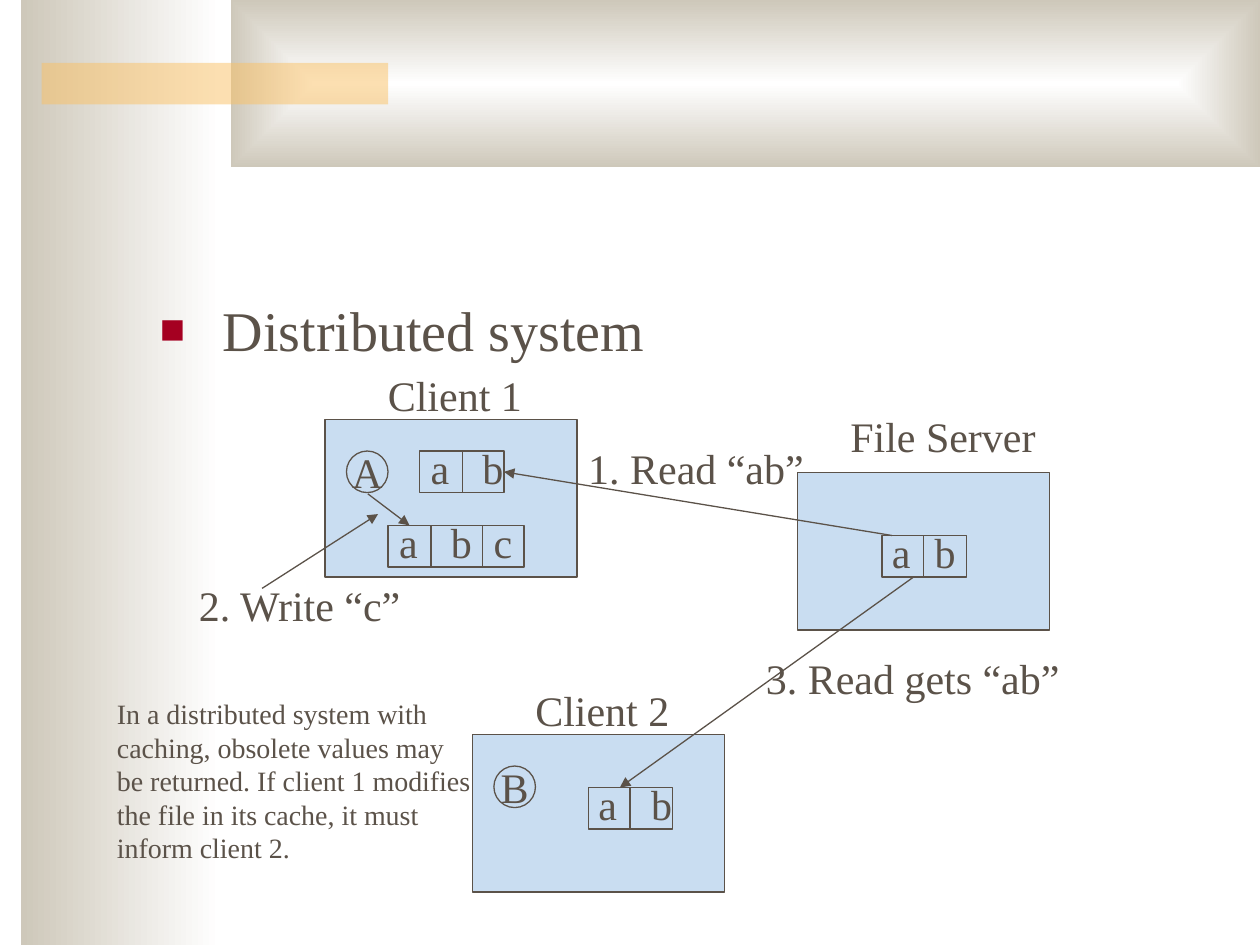
from lxml import etree
from pptx import Presentation
from pptx.dml.color import RGBColor
from pptx.enum.shapes import MSO_CONNECTOR, MSO_SHAPE
from pptx.enum.text import MSO_ANCHOR as ANCHOR, MSO_AUTO_SIZE as AUTO, PP_ALIGN as ALIGN
from pptx.oxml.ns import qn
from pptx.util import Inches, Pt

COLORS = {"ink": "5B5249", "box": "C9DDF1", "sand": "CEC8BA", "white": "FFFFFF",
          "accent": "FAC164", "bullet": "A50021"}
FONT = "Times New Roman"
CELL_H = 0.33


def rgb(name):
    return RGBColor.from_string(COLORS[name])


def sub(parent, tag, **attrs):
    return etree.SubElement(parent, qn(tag), attrs)


def format_font(paragraph, size):
    style = {"name": FONT, "size": Pt(size)}
    for key, value in style.items():
        setattr(paragraph.font, key, value)
    paragraph.font.color.rgb = rgb("ink")


def add_panel(slide, box, kind=MSO_SHAPE.RECTANGLE, fill="box", outlined=True):
    panel = slide.shapes.add_shape(kind, *map(Inches, box))
    panel.shadow.inherit = False
    panel.fill.solid()
    panel.fill.fore_color.rgb = rgb(fill)
    if outlined:
        panel.line.color.rgb = rgb("ink")
        panel.line.width = Pt(0.75)
    else:
        panel.line.fill.background()
    return panel


def add_text(slide, box, lines, size=24):
    label = slide.shapes.add_textbox(*map(Inches, box))
    frame = label.text_frame
    layout = {"word_wrap": False, "auto_size": AUTO.SHAPE_TO_FIT_TEXT}
    for key, value in layout.items():
        setattr(frame, key, value)
    frame.text = "\n".join(lines)
    for paragraph in frame.paragraphs:
        format_font(paragraph, size)


def add_line(slide, start, end, arrow=False):
    line = slide.shapes.add_connector(MSO_CONNECTOR.STRAIGHT, *map(Inches, start + end))
    line.line.color.rgb = rgb("ink")
    line.line.width = Pt(0.75)
    if arrow:
        sub(line.line._get_or_add_ln(), "a:tailEnd", type="triangle")
    sub(line._element.spPr, "a:effectLst")
    return line


# Background bands
def add_gradient(slide, box, rectangular=False):
    band = add_panel(slide, box, outlined=False)
    band.fill.gradient()
    band.fill.gradient_angle = 180
    for stop, color in zip(band.fill.gradient_stops, ("white", "sand")):
        stop.color.rgb = rgb(color)
    if rectangular:
        gradient = band._element.spPr.find(qn("a:gradFill"))
        gradient.remove(gradient.find(qn("a:lin")))
        center = sub(gradient, "a:path", path="rect")
        sub(center, "a:fillToRect", l="50000", t="50000", r="50000", b="50000")


def add_backdrop(slide, width, height):
    add_gradient(slide, (0.17, 0, 1.58, height))
    add_gradient(slide, (1.83, 0, width - 1.83, 1.33), rectangular=True)
    accent = add_panel(slide, (0.33, 0.5, 2.75, 0.33), fill="accent", outlined=False)
    color = accent._element.spPr.find(qn("a:solidFill"))[0]
    sub(color, "a:alpha", val="50000")


# Bulleted heading
def add_heading(slide, box, text):
    heading = slide.shapes.add_textbox(*map(Inches, box))
    heading.text_frame.word_wrap = True
    paragraph = heading.text_frame.paragraphs[0]
    paragraph.text = text
    props = paragraph._p.get_or_add_pPr()
    props.set("marL", str(Inches(0.5)))
    props.set("indent", str(Inches(-0.5)))
    sub(sub(props, "a:buClr"), "a:srgbClr", val=COLORS["bullet"])
    sub(props, "a:buSzPct", val="75000")
    sub(props, "a:buFont", typeface=FONT)
    sub(props, "a:buChar", char="■")
    format_font(paragraph, 32)


# A block row: letters sit at text_lefts and dividers at divider_lefts, from the row's left
def add_blocks(slide, left, top, width, letters, text_lefts, divider_lefts):
    row = add_panel(slide, (left, top, width, CELL_H))
    for offset in divider_lefts:
        x = left + offset
        add_line(slide, (x, top), (x, top + CELL_H))
    for letter, offset in zip(letters, text_lefts):
        add_text(slide, (left + offset, top - 0.12, 0.36, 0.5), [letter])
    return row


# A machine: a box with a title above it, and a process circle if it runs one
def add_machine(slide, left, top, title, title_box, process=None):
    add_panel(slide, (left, top, 2, 1.25))
    title_left, title_rise, title_width = title_box
    add_text(slide, (left + title_left, top - title_rise, title_width, 0.5), [title])
    if process:
        circle = add_panel(slide, (left + 0.17, top + 0.25, CELL_H, CELL_H),
                           MSO_SHAPE.FLOWCHART_CONNECTOR)
        frame = circle.text_frame
        frame.text = process
        for key, value in {"word_wrap": False, "vertical_anchor": ANCHOR.MIDDLE}.items():
            setattr(frame, key, value)
        frame.paragraphs[0].alignment = ALIGN.CENTER
        format_font(frame.paragraphs[0], 24)


def add_diagram(slide):
    # File server
    add_machine(slide, 6.33, 3.75, "File Server", (0.32, 0.54, 1.72))
    add_blocks(slide, 7, 4.25, 0.67, "ab", (-0.02, 0.32), (0.33,))

    # Clients and their caches
    client_title = (0.4, 0.45, 1.35)
    add_machine(slide, 2.58, 3.33, "Client 1", client_title, "A")
    cache = add_blocks(slide, 3.33, 3.58, 0.67, "ab", (-0.01, 0.4), (0.34,))
    add_blocks(slide, 3.08, 4.17, 1.08, "abc", (-0.01, 0.4, 0.74), (0.34, 0.75))
    add_machine(slide, 3.75, 5.83, "Client 2", client_title, "B")
    add_blocks(slide, 4.67, 6.25, 0.67, "ab", (-0.02, 0.4), (0.33,))

    # Numbered steps
    read = add_line(slide, (7.08, 4.25), (4, 3.75), arrow=True)
    read.end_connect(cache, 3)
    for start, end in (((2.92, 3.92), (3.25, 4.17)),
                       ((2.08, 4.67), (3, 4.08)),
                       ((7.25, 4.58), (4.92, 6.25))):
        add_line(slide, start, end, arrow=True)
    for left, top, width, step in ((4.57, 3.46, 1.95, "1. Read “ab”"),
                                   (1.48, 4.55, 1.87, "2. Write “c”"),
                                   (5.98, 5.13, 2.58, "3. Read gets “ab”")):
        add_text(slide, (left, top, width, 0.5), [step])


def main():
    deck = Presentation()
    deck.slide_width, deck.slide_height = Inches(10), Inches(7.5)
    slide = deck.slides.add_slide(deck.slide_layouts[6])
    add_backdrop(slide, 10, 7.5)
    add_heading(slide, (1.17, 2.3, 8.5, 4.5), "Distributed system")
    add_diagram(slide)
    add_text(slide, (0.83, 5.48, 3.1, 1.44),
             ["In a distributed system with",
              "caching, obsolete values may",
              "be returned. If client 1 modifies",
              "the file in its cache, it must",
              "inform client 2."], size=16)
    deck.save("out.pptx")


if __name__ == "__main__":
    main()
